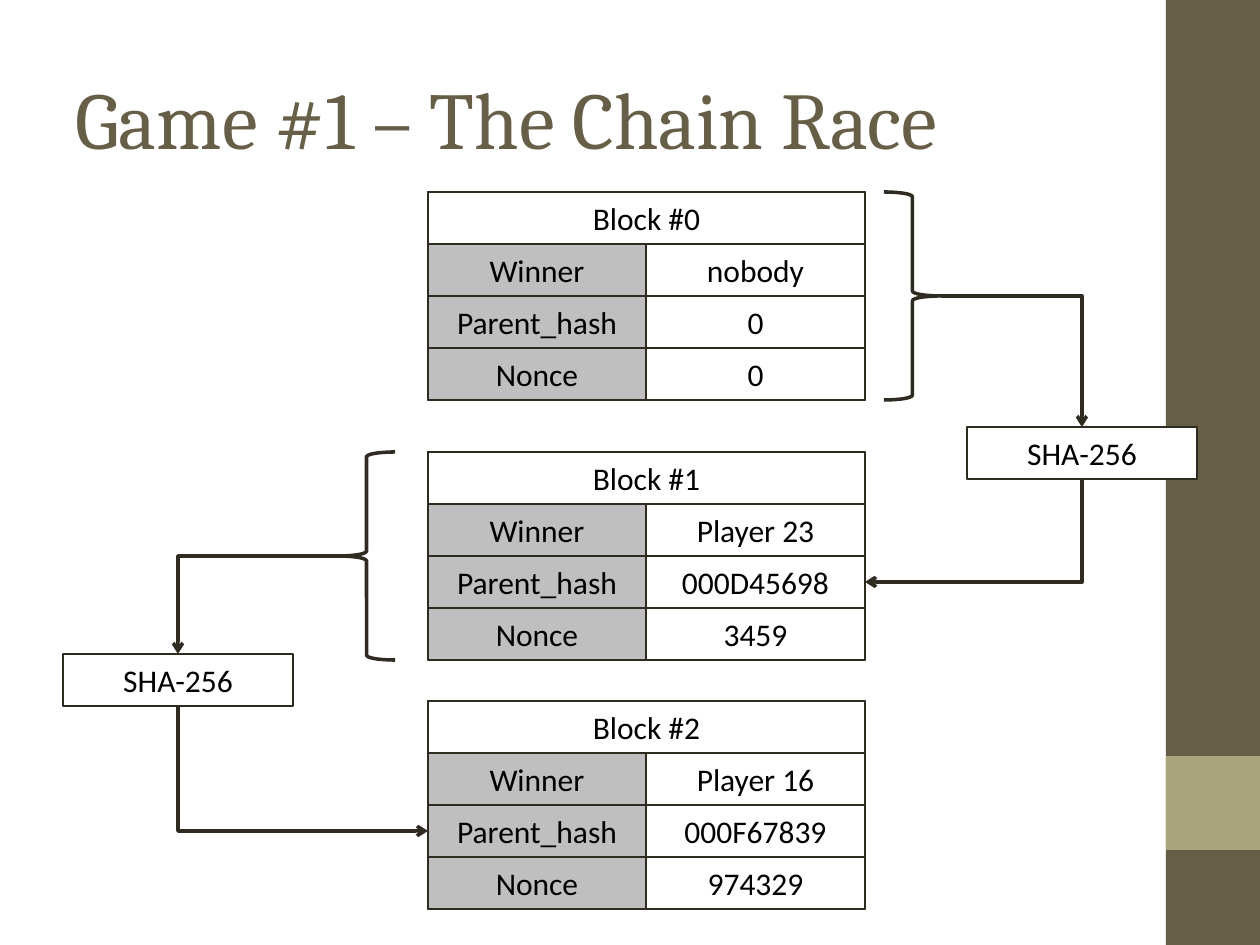
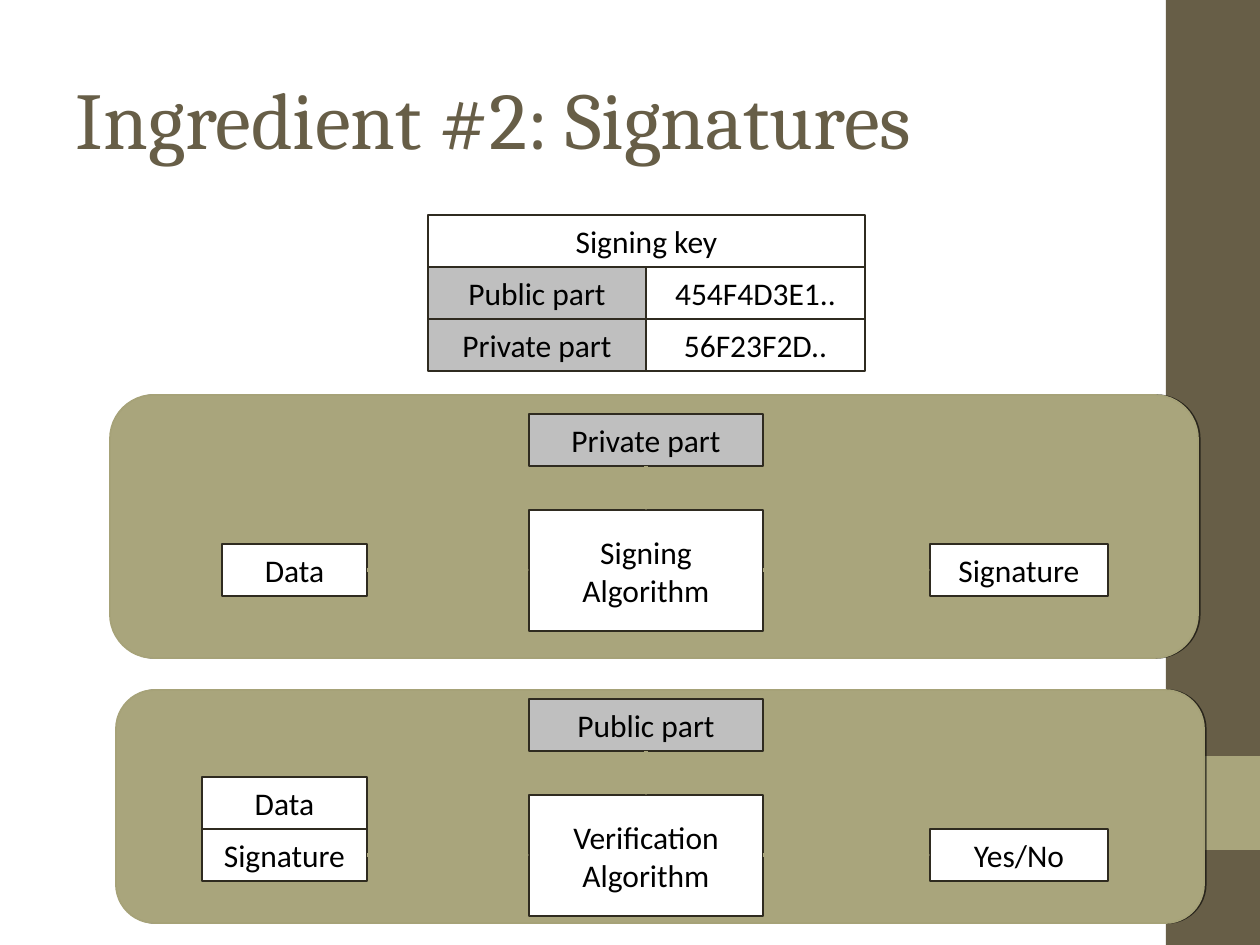
from lxml.etree import SubElement
from pptx import Presentation
from pptx.dml.color import RGBColor
from pptx.enum.shapes import MSO_CONNECTOR as LINK, MSO_SHAPE as SHAPE
from pptx.enum.text import MSO_ANCHOR, MSO_AUTO_SIZE, PP_ALIGN
from pptx.oxml.ns import qn
from pptx.util import Pt

PX_PER_INCH = 126
SLIDE_W, SLIDE_H = 1260, 945

WHITE = RGBColor(0xFF, 0xFF, 0xFF)
BLACK = RGBColor(0, 0, 0)
GREY = RGBColor(0xBF, 0xBF, 0xBF)
INK = RGBColor(0x2F, 0x2B, 0x20)
BROWN = RGBColor(0x67, 0x5E, 0x47)
OLIVE = RGBColor(0xA9, 0xA5, 0x7C)
OLIVE_EDGE = RGBColor(0xA6, 0xA2, 0x78)

TITLE_FONT = {"name": "Cambria", "size": Pt(46)}
LABEL_FONT = {"name": "Calibri", "size": Pt(18)}

TITLE_BOX = (63, 38, 1050, 158)
ROW_H = 52
TABLE_X, TABLE_W = 428, 437
CENTRE_X = TABLE_X + TABLE_W // 2


def px(*lengths):
    return [round(length * 914400 / PX_PER_INCH) for length in lengths]


def set_all(target, values):
    for attribute, value in values.items():
        setattr(target, attribute, value)


# Basic parts

def draw(slide, kind, box, fill=None, edge=None, edge_pt=1):
    shape = slide.shapes.add_shape(kind, *px(*box))
    shape.shadow.inherit = False
    if fill is None:
        shape.fill.background()
    else:
        shape.fill.solid()
        shape.fill.fore_color.rgb = fill
    if edge is None:
        shape.line.fill.background()
    else:
        shape.line.color.rgb = edge
        shape.line.width = Pt(edge_pt)
    return shape


def label(slide, box, text, fill=WHITE):
    frame = draw(slide, SHAPE.RECTANGLE, box, fill, INK).text_frame
    set_all(frame, {"word_wrap": True, "vertical_anchor": MSO_ANCHOR.MIDDLE})
    line = frame.paragraphs[0]
    line.text = text
    line.alignment = PP_ALIGN.CENTER
    set_all(line.font, LABEL_FONT)
    line.font.color.rgb = BLACK


def arrow(slide, start, end, color, kind=LINK.STRAIGHT):
    link = slide.shapes.add_connector(kind, *px(*start, *end))
    link.line.color.rgb = color
    link.line.width = Pt(2)
    properties = link.element.spPr
    SubElement(properties.find(qn("a:ln")), qn("a:tailEnd"), type="arrow")
    SubElement(properties, qn("a:effectLst"))
    return properties


def corner_arrow(slide, start, end, down_first=False):
    """Arrow with one right-angle turn, ending below its start."""
    turn = None
    if down_first:
        # The one-bend preset leaves sideways, so it is turned about its centre
        (x1, y1), (x2, y2) = start, end
        mid_x, mid_y = (x1 + x2) / 2, (y1 + y2) / 2
        half_w, half_h = (y2 - y1) / 2, abs(x2 - x1) / 2
        turn = 90
        if x2 > x1:
            turn, half_w = 270, -half_w
        start = mid_x - half_w, mid_y - half_h
        end = mid_x + half_w, mid_y + half_h
    properties = arrow(slide, start, end, INK, LINK.ELBOW)
    properties.find(qn("a:prstGeom")).set("prst", "bentConnector2")
    if turn:
        properties.find(qn("a:xfrm")).set("rot", str(turn * 60000))


def key_value_grid(slide, box, heading, rows):
    x, y, w, row_h = box
    half = w // 2
    label(slide, (x, y, w, row_h), heading)
    for number, (key, value) in enumerate(rows, start=1):
        top = y + number * row_h
        label(slide, (x, top, half, row_h), key, GREY)
        label(slide, (x + half, top, w - half, row_h), value)


# Shared frame

def add_side_band(slide):
    """Draw the band and move it to the layout, so every slide shows it."""
    layout_tree = slide.slide_layout.shapes.element
    for top, height, fill in ((0, SLIDE_H, BROWN), (756, 94, OLIVE)):
        band = draw(slide, SHAPE.RECTANGLE, (1166, top, 94, height), fill)
        layout_tree.append(band.element)


def add_titled_slide(deck, text):
    slide = deck.slides.add_slide(deck.slide_layouts[5])
    title = slide.shapes.title
    set_all(title, dict(zip(("left", "top", "width", "height"), px(*TITLE_BOX))))
    set_all(title.text_frame, {"word_wrap": True,
                               "auto_size": MSO_AUTO_SIZE.NONE,
                               "vertical_anchor": MSO_ANCHOR.MIDDLE})
    heading = title.text_frame.paragraphs[0]
    heading.text = text
    heading.alignment = PP_ALIGN.LEFT
    set_all(heading.font, TITLE_FONT)
    heading.font.color.rgb = BROWN
    return slide


# Slide 1: chain of blocks

def chain_block(slide, top, number, winner, parent_hash, nonce):
    draw(slide, SHAPE.RECTANGLE, (TABLE_X, top, TABLE_W, 4 * ROW_H), WHITE, INK)
    key_value_grid(slide, (TABLE_X, top, TABLE_W, ROW_H), f"Block #{number}",
                   (("Winner", winner), ("Parent_hash", parent_hash),
                    ("Nonce", nonce)))


def hash_link(slide, brace_box, brace_kind, tip_x, hash_box, target):
    """Brace a block, hash it, and point at the next block's parent hash."""
    draw(slide, brace_kind, brace_box, edge=INK, edge_pt=2)
    label(slide, hash_box, "SHA-256")
    x, y, w, h = hash_box
    hash_x = x + w // 2
    corner_arrow(slide, (tip_x, brace_box[1] + brace_box[3] // 2), (hash_x, y))
    corner_arrow(slide, (hash_x, y + h), target, down_first=True)


def build_chain(slide):
    tops = 192, 452, 701
    records = (("nobody", "0", "0"),
               ("Player 23", "000D45698", "3459"),
               ("Player 16", "000F67839", "974329"))
    for number, (top, record) in enumerate(zip(tops, records)):
        chain_block(slide, top, number, *record)
    parent_row = 5 * ROW_H // 2
    brace_w, brace_h = 57, 4 * ROW_H
    right_brace_x, left_brace_x = 884, 338
    hash_size = 230, ROW_H
    hash_link(slide, (right_brace_x, tops[0], brace_w, brace_h),
              SHAPE.RIGHT_BRACE, right_brace_x + brace_w,
              (967, 427, *hash_size), (TABLE_X + TABLE_W, tops[1] + parent_row))
    hash_link(slide, (left_brace_x, tops[1], brace_w, brace_h),
              SHAPE.LEFT_BRACE, left_brace_x,
              (63, 654, *hash_size), (TABLE_X, tops[2] + parent_row))


# Slide 2: signing and verification

def panel(slide, box):
    shape = draw(slide, SHAPE.ROUNDED_RECTANGLE, box, OLIVE, OLIVE_EDGE)
    effects = shape.element.spPr.find(qn("a:effectLst"))
    shadow = SubElement(effects, qn("a:outerShdw"), dist=str(Pt(1)), dir="0")
    shade = SubElement(shadow, qn("a:srgbClr"), val=str(BLACK))
    SubElement(shade, qn("a:alpha"), val="60000")


def algorithm_flow(slide, box, key_offset, key, inputs, input_w, algorithm,
                   result):
    panel(slide, box)
    key_top = box[1] + key_offset
    algorithm_top, side_top = key_top + 96, key_top + 130
    side_y = side_top + ROW_H // 2
    left, width = CENTRE_X - 117, 234
    input_right, result_left = CENTRE_X - 279, CENTRE_X + 284

    # Key above the algorithm, result to the right
    label(slide, (left, key_top, width, ROW_H), key, GREY)
    label(slide, (left, algorithm_top, width, 121), algorithm)
    label(slide, (result_left, side_top, 178, ROW_H), result)

    # Inputs stack upwards from the side row
    for level, name in enumerate(reversed(inputs)):
        label(slide, (input_right - input_w, side_top - level * ROW_H,
                      input_w, ROW_H), name)

    for start, end in (((input_right, side_y), (left, side_y)),
                       ((left + width, side_y), (result_left, side_y)),
                       ((CENTRE_X, key_top + ROW_H), (CENTRE_X, algorithm_top))):
        arrow(slide, start, end, OLIVE)


def build_signatures(slide):
    key_value_grid(slide, (TABLE_X, 215, TABLE_W, ROW_H), "Signing key",
                   (("Public part", "454F4D3E1.."),
                    ("Private part", "56F23F2D..")))
    algorithm_flow(slide, (110, 395, 1088, 263), 19, "Private part",
                   ["Data"], 145, "Signing Algorithm", "Signature")
    algorithm_flow(slide, (116, 690, 1088, 233), 9, "Public part",
                   ["Data", "Signature"], 165, "Verification Algorithm", "Yes/No")


def main():
    deck = Presentation()
    deck.slide_width, deck.slide_height = px(SLIDE_W, SLIDE_H)
    chain = add_titled_slide(deck, "Game #1 – The Chain Race")
    add_side_band(chain)
    build_chain(chain)
    build_signatures(add_titled_slide(deck, "Ingredient #2: Signatures"))
    deck.save("out.pptx")


if __name__ == "__main__":
    main()
